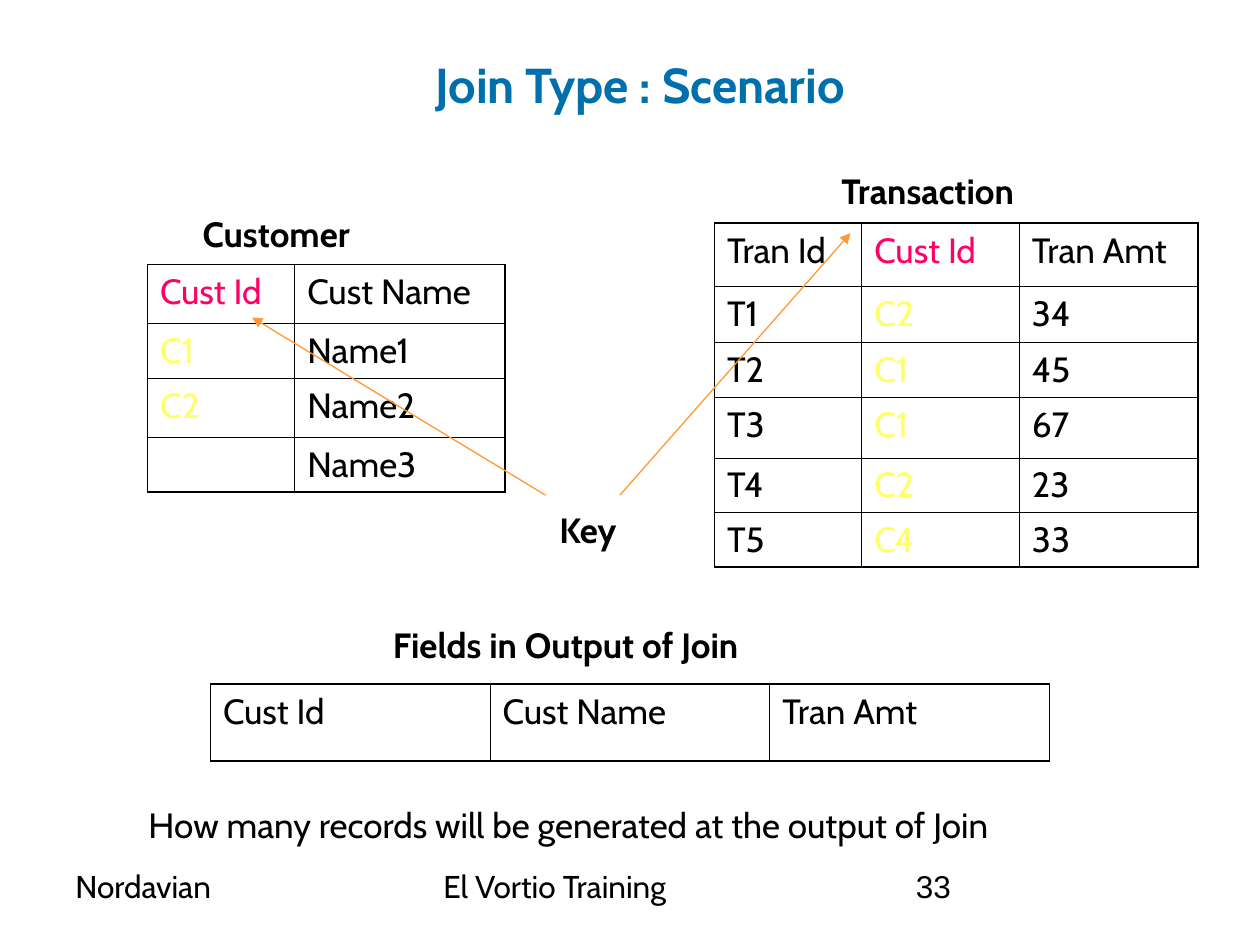
from lxml import etree
from pptx import Presentation
from pptx.dml.color import RGBColor
from pptx.enum.shapes import MSO_CONNECTOR
from pptx.enum.text import MSO_ANCHOR, PP_ALIGN
from pptx.oxml.ns import qn
from pptx.util import Inches, Pt

STRAIGHT = MSO_CONNECTOR.STRAIGHT
MIDDLE, TOP = MSO_ANCHOR.MIDDLE, MSO_ANCHOR.TOP
LEFT, CENTER = PP_ALIGN.LEFT, PP_ALIGN.CENTER
TITLE_ONLY = 5
FONT = "Cabin"
BLACK, BLUE, PINK, YELLOW, ORANGE = "000000", "0070AD", "FF0066", "FFFF66", "FF9933"
OUTER, INNER = 1.08, 0.45


def color(value):
    return RGBColor.from_string(value)


def write(frame, text, size=20, font=FONT, fill=BLACK, bold=False,
          align=LEFT, anchor=TOP, wrap=True, before=0):
    frame.word_wrap = wrap
    frame.vertical_anchor = anchor
    para = frame.paragraphs[0]
    para.alignment = align
    para.space_before = Pt(before)
    span = para.add_run()
    span.text = text
    span.font.size = Pt(size)
    span.font.name = font
    span.font.bold = bold
    span.font.color.rgb = color(fill)


def add_title(page, text):
    title = page.shapes.title
    title.left, title.top = Inches(0.58), Inches(0.08)
    title.width, title.height = Inches(9), Inches(1.17)
    write(title.text_frame, text, size=28, fill=BLUE, bold=True,
          align=CENTER, anchor=MIDDLE)


def add_text(page, text, left, top, width, height=0.44, **style):
    box = page.shapes.add_textbox(Inches(left), Inches(top), Inches(width), Inches(height))
    write(box.text_frame, text, **style)


def set_borders(cell, widths):
    properties = cell._tc.get_or_add_tcPr()
    for position, (side, width) in enumerate(widths):
        line = etree.Element(qn(f"a:ln{side}"), w=str(Pt(width)))
        fill = etree.SubElement(line, qn("a:solidFill"))
        etree.SubElement(fill, qn("a:srgbClr"), val=BLACK)
        properties.insert(position, line)


def add_grid(page, left, top, widths, heights, rows, key_column=None):
    frame = page.shapes.add_table(len(heights), len(widths), Inches(left), Inches(top),
                                  Inches(sum(widths)), Inches(sum(heights)))
    table = frame.table
    table.first_row = table.horz_banding = False
    for column, width in zip(table.columns, widths):
        column.width = Inches(width)
    last_row, last_column = len(heights) - 1, len(widths) - 1
    for r, (height, values) in enumerate(zip(heights, rows)):
        table.rows[r].height = Inches(height)
        for c, value in enumerate(values):
            cell = table.cell(r, c)
            cell.fill.background()
            edges = (("L", c == 0), ("R", c == last_column),
                     ("T", r == 0), ("B", r == last_row))
            set_borders(cell, [(side, OUTER if outer else INNER) for side, outer in edges])
            if value:
                key_fill = PINK if r == 0 else YELLOW
                write(cell.text_frame, value, before=5,
                      fill=key_fill if c == key_column else BLACK)


def add_arrow(page, start, end):
    arrow = page.shapes.add_connector(STRAIGHT, *map(Inches, start + end))
    arrow.line.color.rgb = color(ORANGE)
    arrow.line.width = Pt(0.74)
    etree.SubElement(arrow.line._get_or_add_ln(), qn("a:tailEnd"), type="triangle")
    etree.SubElement(arrow._element.spPr, qn("a:effectLst"))


def main():
    deck = Presentation()
    deck.slide_width, deck.slide_height = Inches(10), Inches(7.5)
    page = deck.slides.add_slide(deck.slide_layouts[TITLE_ONLY])
    add_title(page, "Join Type : Scenario")

    for text, left, width, font in (("Nordavian", 0.5, 2.33, FONT),
                                    ("El Vortio Training", 3.42, 3.17, FONT),
                                    ("33", 7.17, 2.33, "Arial")):
        add_text(page, text, left, 6.83, width, 0.52, size=18, font=font)

    add_grid(page, 1.17, 2.1, (1.17, 1.67), (0.47, 0.43, 0.47, 0.43),
             (("Cust Id", "Cust Name"), ("C1", "Name1"), ("C2", "Name2"), ("", "Name3")),
             key_column=0)
    add_grid(page, 5.67, 1.77, (1.17, 1.25, 1.42), (0.5, 0.45, 0.43, 0.48, 0.43, 0.43),
             (("Tran Id", "Cust Id", "Tran Amt"), ("T1", "C2", "34"), ("T2", "C1", "45"),
              ("T3", "C1", "67"), ("T4", "C2", "23"), ("T5", "C4", "33")),
             key_column=1)
    add_grid(page, 1.67, 5.43, (2.22,) * 3, (0.61,), (("Cust Id", "Cust Name", "Tran Amt"),))

    for text, left, top, width in (("Customer", 1.51, 1.64, 1.55),
                                   ("Transaction", 6.58, 1.3, 1.85),
                                   ("Fields in Output of Join", 3.02, 4.9, 3.37),
                                   ("Key", 4.34, 3.99, 0.71)):
        add_text(page, text, left, top, width, bold=True, wrap=False)
    add_text(page, "How many records will be generated at the output of Join",
             1.08, 6.33, 7.68, wrap=False)

    add_arrow(page, (4.33, 3.93), (2, 2.52))
    add_arrow(page, (4.92, 3.93), (6.75, 1.85))
    deck.save("out.pptx")


main()
